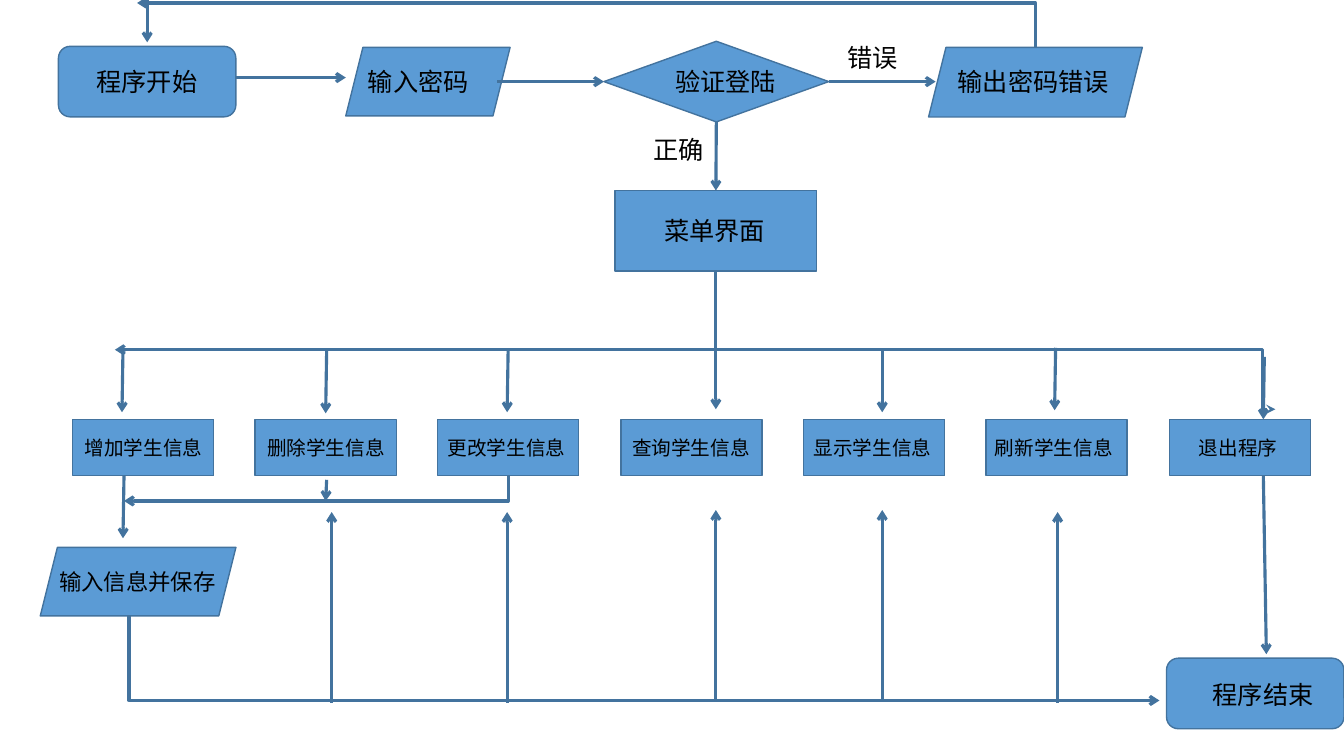
from lxml.etree import SubElement
from pptx import Presentation
from pptx.dml.color import RGBColor
from pptx.enum.shapes import MSO_CONNECTOR as Link, MSO_SHAPE as Kind
from pptx.enum.text import MSO_AUTO_SIZE as Fit
from pptx.oxml.ns import qn
from pptx.util import Pt

PX = 9144  # 100 px to the inch
BLUE = RGBColor(0x5B, 0x9B, 0xD5)
EDGE = RGBColor(0x43, 0x73, 0x9E)
BLACK = RGBColor(0, 0, 0)
FONT = "Calibri"

# Content: name -> kind, left, top, width, height
NODES = {
    "start": (Kind.FLOWCHART_ALTERNATE_PROCESS, 58, 46, 176, 70),
    "entry": (Kind.PARALLELOGRAM, 343, 47, 163, 68),
    "check": (Kind.FLOWCHART_DECISION, 599, 41, 223, 80),
    "error": (Kind.PARALLELOGRAM, 921, 47, 212, 69),
    "menu": (Kind.FLOWCHART_PROCESS, 610, 189, 200, 80),
    "save": (Kind.PARALLELOGRAM, 40, 543, 194, 68),
    "end": (Kind.FLOWCHART_ALTERNATE_PROCESS, 1157, 653, 176, 70),
}

# Text, left, top, width, format
LABELS = [
    ("程序开始", 86, 61, 120, {"wrap": False}),
    ("输入密码", 355, 61, 138, {}),
    ("验证登陆", 660, 61, 120, {"wrap": False}),
    ("正确", 638, 128, 88, {}),
    ("错误", 831, 37, 88, {}),
    ("输出密码错误", 940, 61, 170, {"wrap": False}),
    ("菜单界面", 638, 209, 156, {"inset": 21}),
    ("程序结束", 1193, 669, 120, {"wrap": False}),
    ("输入信息并保存", 49, 559, 176, {"wrap": False, "size": 16}),
]

# Menu commands: text, text left, text inset, arrow x, arrow top, arrow lean
ORDERS = [
    ("增加学生信息", 74, 10, 122, 347, -1),
    ("删除学生信息", 255, 10, 324, 348, -1),
    ("更改学生信息", 434, 10, 504, 347, -1),
    ("查询学生信息", 617, 10, 710, 344, 0),
    ("显示学生信息", 797, 10, 875, 347, 0),
    ("刷新学生信息", 977, 10, 1047, 345, -1),
    ("退出程序", 1158, 31, 1254, 354, -1),
]
ROW_X, ROW_Y, ROW_W, ROW_H, SPAN = 72, 416, 140, 56, 1088
DROP, RISE = 62, 189

# Straight arrows: from, to, joined node and side at each end
ARROWS = [
    ((234, 77), (343, 77), None, None),
    ((493, 81), (599, 81), None, ("check", 1)),
    ((711, 121), (711, 189), ("check", 2), ("menu", 0)),
    ((822, 81), (928, 81), ("check", 3), None),
    ((146, 0), (146, 42), None, None),
    ((1253, 472), (1256, 649), None, None),
    ((123, 472), (122, 534), None, None),
    ((324, 476), (323, 497), None, None),
]
# One-corner arrows: tip, foot; level at the tip, upright at the foot
BENDS = [
    ((136, 3), (1027, 47)),
    ((114, 347), (710, 269)),
    ((1150, 695), (128, 611)),
    ((123, 497), (504, 472)),
]
# Arrows up from the bottom line: x, foot
RISES = [(329, 697), (503, 697), (710, 695), (875, 695), (1049, 697)]

deck = Presentation()
deck.slide_width, deck.slide_height = 1333 * PX, 750 * PX
slide = deck.slides.add_slide(deck.slide_layouts[6])
shapes = slide.shapes


def block(kind, *area):
    box = shapes.add_shape(kind, *(n * PX for n in area))
    box.shadow.inherit = False
    box.fill.solid()
    box.fill.fore_color.rgb = BLUE
    box.line.color.rgb = EDGE
    box.line.width = Pt(1)
    return box


def write(text, x, y, w, size=18, wrap=True, inset=10):
    high = {14: 34, 16: 37, 18: 40}[size]
    box = shapes.add_textbox(x * PX, y * PX, w * PX, high * PX)
    frame = box.text_frame
    frame.word_wrap = wrap
    frame.auto_size = Fit.SHAPE_TO_FIT_TEXT
    frame.margin_left = inset * PX
    run = frame.paragraphs[0].add_run()
    run.text = text
    run.font.size = Pt(size)
    run.font.name = FONT
    run.font.color.rgb = BLACK


def arrow(a, b, kind=Link.STRAIGHT, end="tailEnd", tip="arrow"):
    line = shapes.add_connector(kind, *(n * PX for n in a + b))
    line.line.color.rgb = EDGE
    line.line.width = Pt(2.25)
    props = line._element.spPr
    SubElement(props.find(qn("a:ln")), qn("a:" + end), type=tip)
    SubElement(props, qn("a:effectLst"))
    return line, props.find(qn("a:prstGeom"))


# Boxes
boxes = {name: block(*form) for name, form in NODES.items()}
for i in range(len(ORDERS)):
    left = ROW_X + i * SPAN // (len(ORDERS) - 1)
    block(Kind.FLOWCHART_PROCESS, left, ROW_Y, ROW_W, ROW_H)

# Straight arrows
for a, b, head, foot in ARROWS:
    line, _ = arrow(a, b)
    if head:
        line.begin_connect(boxes[head[0]], head[1])
    if foot:
        line.end_connect(boxes[foot[0]], foot[1])
for x, foot in RISES:
    arrow((x, foot), (x, foot - RISE))

# Bent arrows
for tip, foot in BENDS:
    _, geom = arrow(tip, foot, Link.ELBOW, "headEnd")
    geom.set("prst", "bentConnector2")
_, geom = arrow((711, 347), (1265, 406), Link.ELBOW, tip="stealth")
SubElement(geom.find(qn("a:avLst")), qn("a:gd"), name="adj1", fmla="val 97700")

# Texts, with the arrow down to each command
for text, x, y, w, form in LABELS:
    write(text, x, y, w, **form)
for text, left, inset, x, top, lean in ORDERS:
    write(text, left, 428, 138, size=14, inset=inset)
    arrow((x, top), (x + lean, top + DROP))

deck.save("out.pptx")
